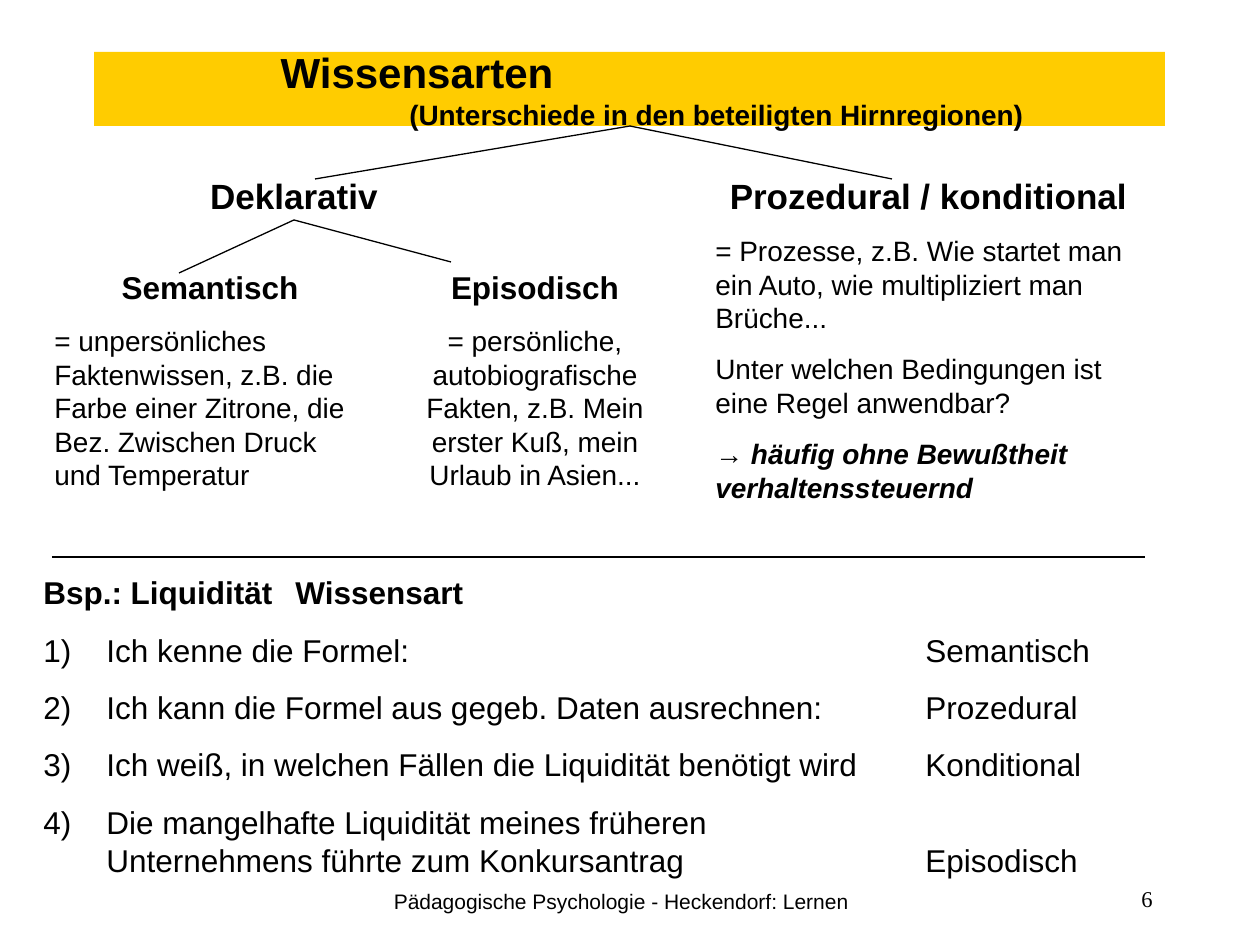
from lxml.etree import SubElement
from pptx import Presentation
from pptx.dml.color import RGBColor
from pptx.enum.shapes import MSO_CONNECTOR
from pptx.enum.text import MSO_ANCHOR, MSO_AUTO_SIZE, PP_ALIGN
from pptx.oxml.ns import qn
from pptx.util import Emu, Pt

PX_PER_INCH = 126
LEFT, CENTER, RIGHT = PP_ALIGN.LEFT, PP_ALIGN.CENTER, PP_ALIGN.RIGHT


def px(length):
    return Emu(round(length * 914400 / PX_PER_INCH))


def color(hex_string):
    return RGBColor.from_string(hex_string)


class KnowledgeSlide:
    INK = "000000"
    BAND = "FFCC00"
    FONT = "Arial"

    def __init__(self, deck):
        self.page = deck.slides.add_slide(deck.slide_layouts[5])

    def style(self, para, size, bold=False, italic=False, align=LEFT, before=0, font=FONT):
        para.alignment = align
        para.space_before = Pt(before)
        para.font.name = font
        para.font.size = Pt(size)
        para.font.bold = bold
        para.font.italic = italic
        para.font.color.rgb = color(self.INK)

    def tabulate(self, para, tab, hanging=0, numbered=False):
        """Set one tab stop and, if asked, a hanging automatic number."""
        properties = para._p.get_or_add_pPr()
        properties.set("marL", str(px(hanging)))
        properties.set("indent", str(-px(hanging)))
        if numbered:
            SubElement(properties, qn("a:buFont"), typeface=self.FONT)
            SubElement(properties, qn("a:buAutoNum"), type="arabicParenR")
        tabs = SubElement(properties, qn("a:tabLst"))
        SubElement(tabs, qn("a:tab"), pos=str(px(tab)), algn="l")

    def title(self, left, top, width, height, heading, subtitle, heading_indent):
        band = self.page.shapes.title
        band.left, band.top, band.width, band.height = map(px, (left, top, width, height))
        band.fill.solid()
        band.fill.fore_color.rgb = color(self.BAND)
        frame = band.text_frame
        frame.auto_size = MSO_AUTO_SIZE.NONE
        frame.vertical_anchor = MSO_ANCHOR.MIDDLE
        first, second = frame.paragraphs[0], frame.add_paragraph()
        first.text, second.text = heading, subtitle
        first._p.get_or_add_pPr().set("marL", str(px(heading_indent)))
        self.style(first, 24, bold=True)
        self.style(second, 16, bold=True, align=CENTER)

    def text_box(self, left, top, width, height):
        frame = self.page.shapes.add_textbox(*map(px, (left, top, width, height))).text_frame
        frame.word_wrap = True
        return frame

    def label(self, left, top, width, height, text, size, **style):
        para = self.text_box(left, top, width, height).paragraphs[0]
        para.text = text
        self.style(para, size, **style)
        return para

    def kind(self, left, top, width, height, name, size, texts=(), align=LEFT, stress_last=False):
        """Add a kind of knowledge: a centred name above its explanations."""
        heading = self.label(left, top, width, height, name, size, bold=True, align=CENTER)
        for number, text in enumerate(texts, 1):
            para = heading._parent.add_paragraph()
            para.text = text
            stressed = stress_last and number == len(texts)
            self.style(para, 16, bold=stressed, italic=stressed, align=align, before=10)

    def examples(self, left, top, width, height, header, rows):
        frame = self.text_box(left, top, width, height)
        first = frame.paragraphs[0]
        first.text = "\t".join(header)
        self.tabulate(first, tab=945)
        self.style(first, 18, bold=True)
        for row in rows:
            para = frame.add_paragraph()
            para.text = "\t".join(row)
            self.tabulate(para, tab=882, hanging=63, numbered=True)
            self.style(para, 18, before=11.2)

    def line(self, *ends):
        connector = self.page.shapes.add_connector(MSO_CONNECTOR.STRAIGHT, *map(px, ends))
        connector.line.color.rgb = color(self.INK)
        connector.line.width = Pt(0.75)
        SubElement(connector._element.spPr, qn("a:effectLst"))

    def branches(self, x, y, *tips):
        for tip in tips:
            self.line(x, y, *tip)


def main():
    deck = Presentation()
    deck.slide_width, deck.slide_height = px(1260), px(945)
    slide = KnowledgeSlide(deck)

    slide.label(343, 882, 557, 42, "Pädagogische Psychologie - Heckendorf: Lernen", 12, align=CENTER)
    number = slide.label(903, 882, 262, 42, "6", 12.9, align=RIGHT, font="Times New Roman")
    number.line_spacing = 0.9

    slide.title(94, 52, 1071, 74, "Wissensarten",
                "(Unterschiede in den beteiligten Hirnregionen)", heading_indent=174)

    slide.branches(630, 126, (315, 179), (892, 179))
    slide.kind(147, 168, 294, 55, "Deklarativ", 20)
    slide.kind(703, 168, 451, 343, "Prozedural / konditional", 20, [
        "= Prozesse, z.B. Wie startet man ein Auto, wie multipliziert man Brüche...",
        "Unter welchen Bedingungen ist eine Regel anwendbar?",
        "→ häufig ohne Bewußtheit verhaltenssteuernd",
    ], stress_last=True)

    slide.branches(294, 220, (179, 273), (451, 262))
    slide.kind(42, 262, 336, 236, "Semantisch", 18, [
        "= unpersönliches Faktenwissen, z.B. die Farbe einer Zitrone, "
        "die Bez. Zwischen Druck und Temperatur"])
    slide.kind(388, 262, 294, 236, "Episodisch", 18, [
        "= persönliche, autobiografische Fakten, z.B. Mein erster Kuß, "
        "mein Urlaub in Asien..."], align=CENTER)

    slide.line(52, 557, 1145, 557)
    slide.examples(31, 567, 1207, 319, ("Bsp.: Liquidität", "Wissensart"), [
        ("Ich kenne die Formel:", "Semantisch"),
        ("Ich kann die Formel aus gegeb. Daten ausrechnen:", "Prozedural"),
        ("Ich weiß, in welchen Fällen die Liquidität benötigt wird", "Konditional"),
        ("Die mangelhafte Liquidität meines früheren\v"
         "Unternehmens führte zum Konkursantrag", "Episodisch"),
    ])
    deck.save("out.pptx")


if __name__ == "__main__":
    main()
